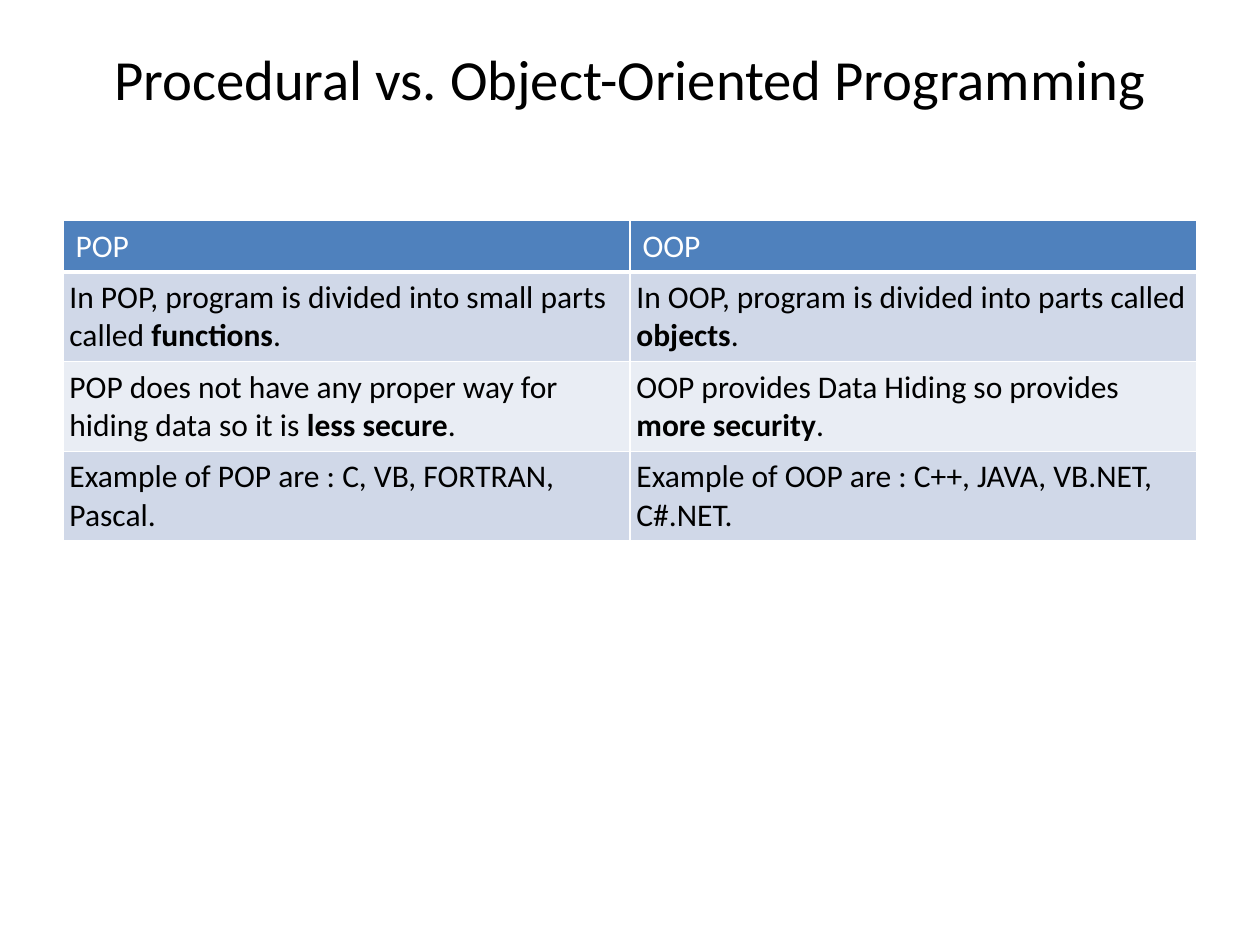
import pptx
import pptx.dml.color
import pptx.enum.text
import pptx.oxml
import pptx.oxml.ns
import pptx.util

Cm = pptx.util.Cm
Pt = pptx.util.Pt
ALIGN = pptx.enum.text.PP_ALIGN
ANCHOR = pptx.enum.text.MSO_ANCHOR

COLOURS = {
    "text": "000000",
    "header_text": "FFFFFF",
    "header": "4F81BD",
    "odd_row": "D0D8E8",
    "even_row": "E9EDF4",
    "border": "FFFFFF",
}

HEADINGS = ["POP", "OOP"]
COMPARISONS = [
    [
        [("In POP, program is divided into small parts called ", False), ("functions", True), (".", False)],
        [("In OOP, program is divided into parts called ", False), ("objects", True), (".", False)],
    ],
    [
        [("POP does not have any proper way for hiding data so it is ", False), ("less secure", True), (".", False)],
        [("OOP provides Data Hiding so provides ", False), ("more security", True), (".", False)],
    ],
    [
        [("Example of POP are : C, VB, FORTRAN, Pascal.", False)],
        [("Example of OOP are : C++, JAVA, VB.NET, C#.NET.", False)],
    ],
]


def apply_format(target, values):
    for attribute, value in values.items():
        setattr(target, attribute, value)


class ComparisonSlide:
    font_name = "Calibri"
    title_size = Pt(32.4)
    table_size = Pt(18)
    header_height = Cm(1.03)
    row_height = Cm(1.81)
    body_format = dict.fromkeys(
        ["margin_left", "margin_top", "margin_right", "margin_bottom"], Cm(0.13)
    ) | {"vertical_anchor": ANCHOR.MIDDLE}

    def __init__(self, slide):
        self.slide = slide

    def add_text(self, paragraph, parts, size, colour):
        for text, bold in parts:
            run = paragraph.add_run()
            run.text = text
            apply_format(run.font, {"name": self.font_name, "size": size, "bold": bold})
            run.font.color.rgb = pptx.dml.color.RGBColor.from_string(COLOURS[colour])

    def title(self, text, left, top, width, height):
        frame = self.slide.shapes.add_textbox(left, top, width, height).text_frame
        apply_format(frame, {"word_wrap": True, "vertical_anchor": ANCHOR.TOP})
        heading = frame.paragraphs[0]
        heading.alignment = ALIGN.CENTER
        self.add_text(heading, [(text, False)], self.title_size, "text")

    def borders(self, cell, bottom_width):
        properties = cell._tc.get_or_add_tcPr()
        widths = {"lnL": Pt(1), "lnR": Pt(1), "lnT": Pt(1), "lnB": bottom_width}
        for side, width in widths.items():
            properties.append(pptx.oxml.parse_xml(
                f'<a:{side} {pptx.oxml.ns.nsdecls("a")} w="{width}"><a:solidFill>'
                f'<a:srgbClr val="{COLOURS["border"]}"/></a:solidFill></a:{side}>'
            ))

    def cell(self, cell, parts, fill, colour, bottom_width):
        self.borders(cell, bottom_width)
        cell.fill.solid()
        cell.fill.fore_color.rgb = pptx.dml.color.RGBColor.from_string(COLOURS[fill])
        self.add_text(cell.text_frame.paragraphs[0], parts, self.table_size, colour)

    def table(self, headings, comparisons, left, top, width):
        height = self.header_height + self.row_height * len(comparisons)
        table = self.slide.shapes.add_table(
            len(comparisons) + 1, len(headings), left, top, width, height
        ).table
        apply_format(table, {"first_row": False, "horz_banding": False})
        table.rows[0].height = self.header_height
        for column, heading in enumerate(headings):
            self.cell(table.cell(0, column), [(heading, False)], "header", "header_text", Pt(3))
        for row, comparison in enumerate(comparisons, start=1):
            table.rows[row].height = self.row_height
            fill = "odd_row" if row % 2 else "even_row"
            for column, parts in enumerate(comparison):
                body_cell = table.cell(row, column)
                self.cell(body_cell, parts, fill, "text", Pt(1))
                apply_format(body_cell, self.body_format)


def main():
    deck = pptx.Presentation()
    apply_format(deck, {"slide_width": Cm(25.4), "slide_height": Cm(19.05)})
    comparison = ComparisonSlide(deck.slides.add_slide(deck.slide_layouts[6]))
    left, width = Cm(1.27), Cm(22.86)
    comparison.title("Procedural vs. Object-Oriented Programming", left, Cm(0.76), width, Cm(3.18))
    comparison.table(HEADINGS, COMPARISONS, left, Cm(4.45), width)
    deck.save("out.pptx")


if __name__ == "__main__":
    main()
